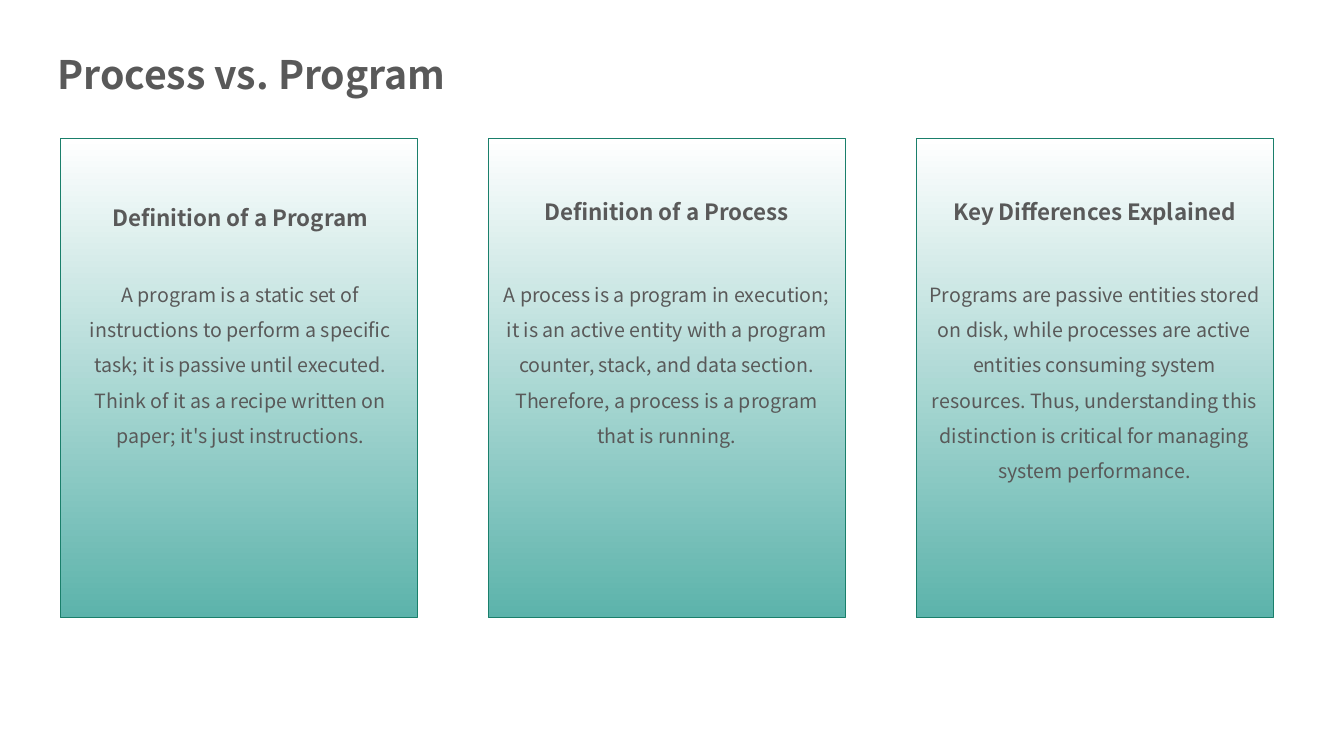
import dataclasses

import pptx
import pptx.dml.color
import pptx.enum.shapes
import pptx.enum.text
import pptx.util

Pt = pptx.util.Pt
ALIGN = pptx.enum.text.PP_ALIGN

FONT = "Noto Sans CJK SC"
GREY = "595959"
TEAL = "5CB3AB"
WHITE = "FFFFFF"
BORDER = "1A7F6B"

# Card grid, in points
CARD_LEFT, CARD_TOP = 43.2, 98.6
CARD_WIDTH, CARD_HEIGHT = 254.9, 342.7
CARD_PITCH = 305.6
BODY_TOP = 190.1


@dataclasses.dataclass
class Card:
    heading: str
    body: str
    heading_top: float = 133.9
    text_shift: float = 0


CARDS = [
    Card(
        "Definition of a Program",
        "A program is a static set of instructions to perform a specific task; "
        "it is passive until executed. Think of it as a recipe written on paper; "
        "it's just instructions.",
        heading_top=138.2,
        text_shift=2,
    ),
    Card(
        "Definition of a Process",
        "A process is a program in execution; it is an active entity with a "
        "program counter, stack, and data section. Therefore, a process is a "
        "program that is running.",
    ),
    Card(
        "Key Differences Explained",
        "Programs are passive entities stored on disk, while processes are active "
        "entities consuming system resources. Thus, understanding this distinction "
        "is critical for managing system performance.",
    ),
]


def set_color(target: pptx.dml.color.ColorFormat, value: str) -> None:
    target.rgb = pptx.dml.color.RGBColor.from_string(value)


def write(box, text: str, size: float, bold: bool, align, spacing: float) -> None:
    frame = box.text_frame
    frame.text = text
    frame.word_wrap = True
    frame.auto_size = pptx.enum.text.MSO_AUTO_SIZE.SHAPE_TO_FIT_TEXT
    frame.vertical_anchor = pptx.enum.text.MSO_ANCHOR.TOP
    para = frame.paragraphs[0]
    para.alignment = align
    para.line_spacing = spacing
    span = para.runs[0]
    span.font.name = FONT
    span.font.size = Pt(size)
    span.font.bold = bold
    set_color(span.font.color, GREY)


def add_panel(page, left: float) -> None:
    panel = page.shapes.add_shape(
        pptx.enum.shapes.MSO_SHAPE.RECTANGLE,
        Pt(left), Pt(CARD_TOP), Pt(CARD_WIDTH), Pt(CARD_HEIGHT),
    )
    panel.shadow.inherit = False
    panel.fill.gradient()
    panel.fill.gradient_angle = 90
    for stop, value in zip(panel.fill.gradient_stops, (TEAL, WHITE)):
        set_color(stop.color, value)
    set_color(panel.line.color, BORDER)
    panel.line.width = Pt(0.5)


def add_card_text(page, card: Card, left: float) -> None:
    rows = [
        (card.body, BODY_TOP, 110.2, 14, False, 1.5),
        (card.heading, card.heading_top, 28.8, 16, True, 1.2),
    ]
    for text, top, height, size, bold, spacing in rows:
        box = page.shapes.add_textbox(
            Pt(left + card.text_shift), Pt(top),
            Pt(CARD_WIDTH - card.text_shift), Pt(height),
        )
        write(box, text, size, bold, ALIGN.CENTER, spacing)
        box.text_frame.paragraphs[0].space_before = Pt(size * 0.2)


def main() -> None:
    deck = pptx.Presentation()
    deck.slide_width, deck.slide_height = Pt(960), Pt(540)
    page = deck.slides.add_slide(deck.slide_layouts[5])

    # Title
    title = page.shapes.title
    title.left, title.top = Pt(33.8), Pt(32.4)
    title.width, title.height = Pt(680.4), Pt(41)
    write(title, "Process vs. Program", 28, True, ALIGN.LEFT, 1.0)

    # Cards
    for index, card in enumerate(CARDS):
        left = CARD_LEFT + index * CARD_PITCH
        add_panel(page, left)
        add_card_text(page, card, left)

    deck.save("out.pptx")


if __name__ == "__main__":
    main()
